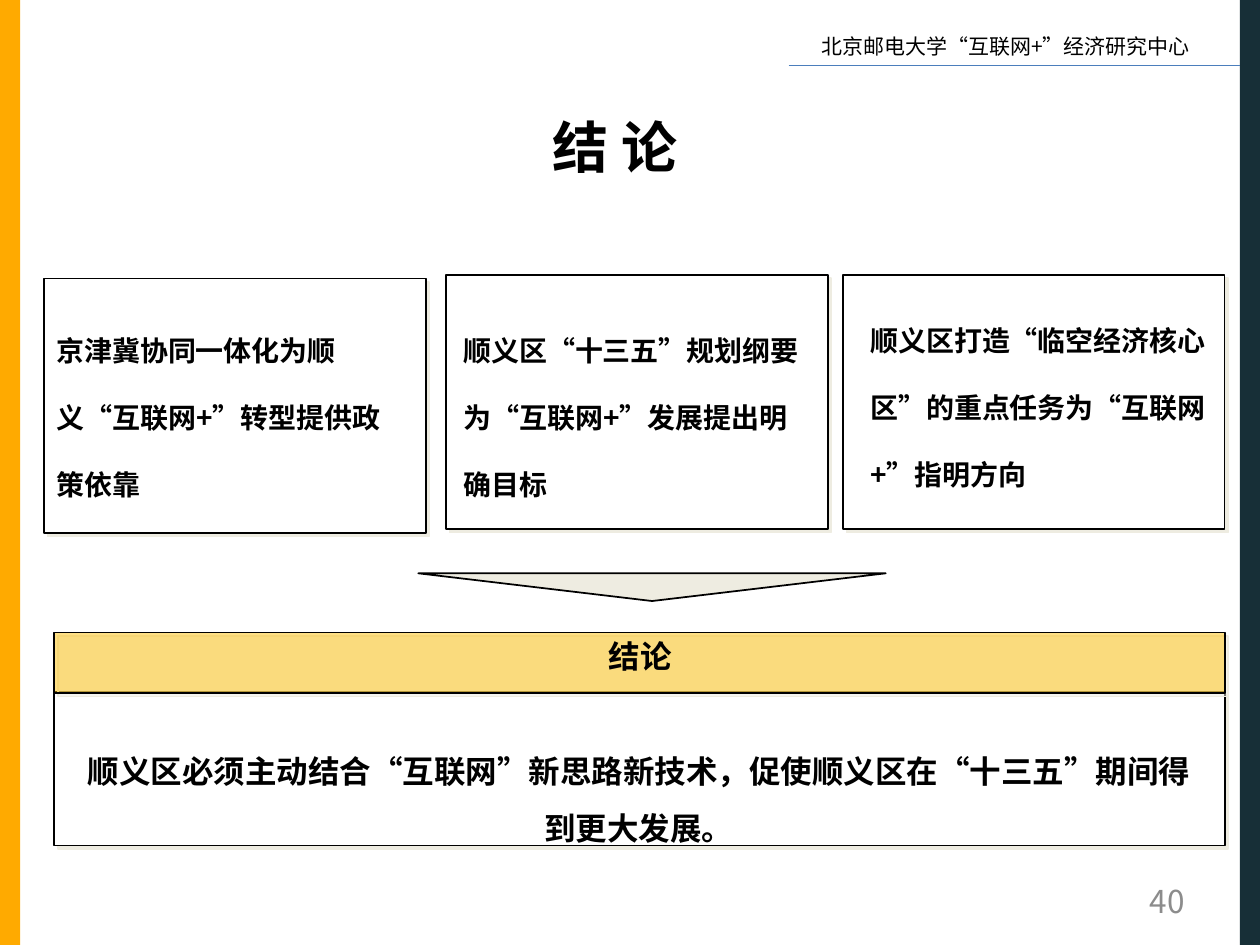
from lxml import etree
from pptx import Presentation
from pptx import util as u
from pptx.dml.color import RGBColor
from pptx.enum import lang, shapes, text
from pptx.oxml import parse_xml
from pptx.oxml.ns import nsdecls, qn

FONT = "Noto Sans CJK SC"
COLUMNS, ROWS = 100, 75

deck = Presentation()
deck.slide_width, deck.slide_height = u.Inches(10), u.Inches(7.5)
page = deck.slides.add_slide(deck.slide_layouts[5])
column, row = deck.slide_width / COLUMNS, deck.slide_height / ROWS


def color(value):
    return RGBColor.from_string(value)


def write(box, words, size, ink="000000", bold=True, align="LEFT", spacing=1, anchor="TOP"):
    frame = box.text_frame
    frame_format = {
        "word_wrap": True,
        "auto_size": text.MSO_AUTO_SIZE.NONE,
        "vertical_anchor": text.MSO_ANCHOR[anchor],
    }
    for name, value in frame_format.items():
        setattr(frame, name, value)
    para = frame.paragraphs[0]
    para.alignment = text.PP_ALIGN[align]
    para.line_spacing = spacing
    span = para.add_run()
    span.text = words
    span_format = {
        "size": u.Pt(size),
        "bold": bold,
        "name": FONT,
        "language_id": lang.MSO_LANGUAGE_ID.SIMPLIFIED_CHINESE,
    }
    for name, value in span_format.items():
        setattr(span.font, name, value)
    span.font.color.rgb = color(ink)
    latin = span.font._element.find(qn("a:latin"))
    latin.addnext(parse_xml(f'<a:ea {nsdecls("a")} typeface="{FONT}"/>'))


panels = [
    ("RECTANGLE", (0, 0, 1.6, ROWS), "FFAA00", False),
    ("RECTANGLE", (98.4, 0, 1.6, ROWS), "172F37", False),
    ("RECTANGLE", (3.5, 22.1, 30.3, 20.2), "FFFFFF", True),
    ("RECTANGLE", (35.4, 21.8, 30.3, 20.2), "FFFFFF", True),
    ("RECTANGLE", (66.9, 21.8, 30.3, 20.2), "FFFFFF", True),
    ("ISOSCELES_TRIANGLE", (33.2, 45.5, 37.1, 2.2), "EEECE1", False),
    ("RECTANGLE", (4.3, 54.9, 92.9, 12.2), "FFFFFF", True),
    ("RECTANGLE", (4.3, 50.2, 92.9, 4.8), "FFC000", True),
]
for kind, (left, top, width, height), fill, shaded in panels:
    panel = page.shapes.add_shape(
        shapes.MSO_SHAPE[kind],
        int(left * column), int(top * row), int(width * column), int(height * row),
    )
    panel.shadow.inherit = False
    panel.fill.solid()
    panel.fill.fore_color.rgb = color(fill)
    if shaded:
        effects = panel._element.spPr.find(qn("a:effectLst"))
        effects.append(parse_xml(
            f'<a:outerShdw {nsdecls("a")} dist="35560" dir="2700000" algn="ctr" rotWithShape="0">'
            '<a:srgbClr val="EEECE1"/></a:outerShdw>'
        ))
    if shaded or kind == "ISOSCELES_TRIANGLE":
        panel.line.color.rgb = color("000000")
        panel.line.width = u.Pt(1)
    else:
        panel.line.fill.background()
    if kind == "ISOSCELES_TRIANGLE":
        panel.rotation = 180
    if fill == "FFC000":
        tint = panel._element.spPr.find(qn("a:solidFill"))[0]
        etree.SubElement(tint, qn("a:alpha"), val="48000")

rule_height = int(5.2 * row)
rule = page.shapes.add_connector(
    shapes.MSO_CONNECTOR.STRAIGHT,
    int(62.6 * column), rule_height, int(98.4 * column), rule_height,
)
rule.line.color.rgb = color("4B7EBC")
rule.line.width = u.Pt(0.75)
etree.SubElement(rule._element.spPr, qn("a:effectLst"))

reason = {"size": 16, "spacing": 2}
labels = [
    ("北京邮电大学“互联网+”经济研究中心", (64.2, 2.2, 32.3, 3), {"size": 12, "bold": False}),
    ("京津冀协同一体化为顺义“互联网+”转型提供政策依靠", (3.5, 23.3, 29.6, 17.2), reason),
    ("顺义区“十三五”规划纲要为“互联网+”发展提出明确目标", (35.8, 23.3, 29.1, 17.2), reason),
    ("顺义区打造“临空经济核心区”的重点任务为“互联网+”指明方向", (68.1, 22.5, 29.9, 17.2), reason),
    ("结论", (31.1, 50.1, 39.4, 4), {"size": 18, "align": "CENTER"}),
    ("顺义区必须主动结合“互联网”新思路新技术，促使顺义区在“十三五”期间得到更大发展。",
     (5.5, 57.7, 90.4, 10.1), {"size": 18, "align": "CENTER", "spacing": 1.5}),
    ("40", (71.7, 69.5, 23.3, 4),
     {"size": 18, "ink": "8C8C8C", "bold": False, "align": "RIGHT", "anchor": "MIDDLE"}),
]
for words, (left, top, width, height), style in labels:
    box = page.shapes.add_textbox(
        int(left * column), int(top * row), int(width * column), int(height * row)
    )
    write(box, words, **style)

title = page.shapes.title
title_place = {
    "left": 30.3 * column, "top": 8.4 * row, "width": 37 * column, "height": 6.4 * row,
}
for name, value in title_place.items():
    setattr(title, name, int(value))
write(title, "结 论", 32, align="CENTER")

deck.save("out.pptx")
